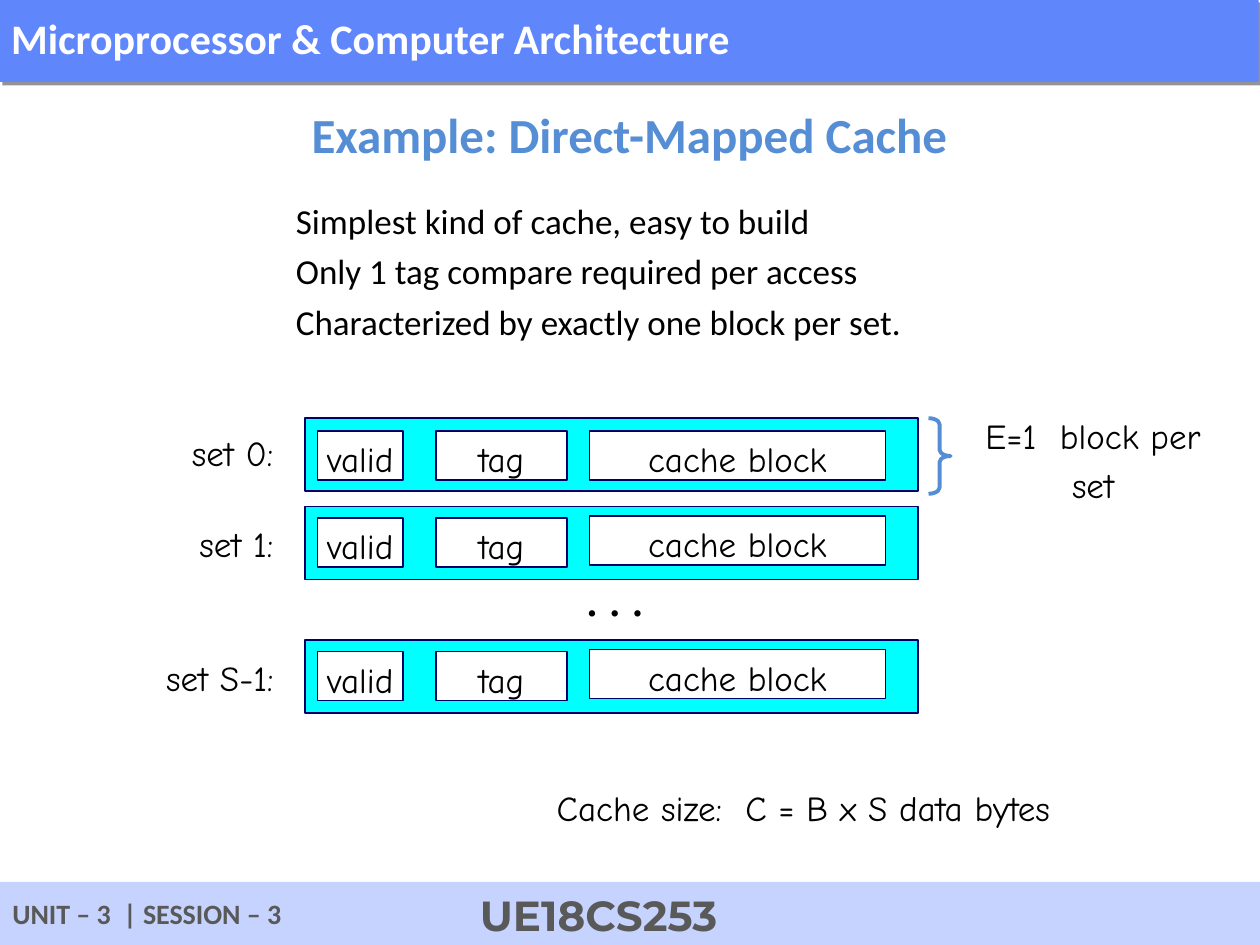
"""Build a slide that explains a direct-mapped cache."""
from dataclasses import dataclass

from lxml import etree
from pptx import Presentation
from pptx.dml.color import RGBColor
from pptx.enum.shapes import MSO_SHAPE
from pptx.enum.text import MSO_ANCHOR, MSO_AUTO_SIZE, PP_ALIGN
from pptx.oxml.ns import qn
from pptx.util import Pt

RECTANGLE, BRACE = MSO_SHAPE.RECTANGLE, MSO_SHAPE.RIGHT_BRACE
LEFT, CENTER = PP_ALIGN.LEFT, PP_ALIGN.CENTER
TOP, MIDDLE = MSO_ANCHOR.TOP, MSO_ANCHOR.MIDDLE
GROW = MSO_AUTO_SIZE.SHAPE_TO_FIT_TEXT


@dataclass(frozen=True)
class Theme:
    white: str = "FFFFFF"
    black: str = "000000"
    grey: str = "595959"
    banner: str = "6086FB"
    footer: str = "C5D3FE"
    accent: str = "558ED5"
    cache_set: str = "00FFFF"
    outline: str = "000066"
    title_size: int = 28
    banner_size: int = 24
    body_size: int = 20
    footer_size: int = 16


THEME = Theme()
BANNER = dict(name="Calibri", size=Pt(THEME.banner_size), bold=True, color=THEME.white)
UNIT = dict(BANNER, size=Pt(THEME.footer_size), color=THEME.grey)
COURSE = dict(BANNER, name="Montserrat", color=THEME.grey)
TITLE = dict(BANNER, size=Pt(THEME.title_size), color=THEME.accent)
BODY = dict(name="Calibri", size=Pt(THEME.body_size), bold=False, color=THEME.black)
DIAGRAM = dict(BODY, name="Comic Neue")

MASTER_LINES = dict(alignment=LEFT, line_spacing=0.93)
DIAGRAM_LINES = dict(alignment=CENTER, line_spacing=1.16)

SET_LEFT, SET_WIDTH, SET_HEIGHT = 174.2, 350.6, 41.8
LABEL_RIGHT, LABEL_HEIGHT = 163.5, 35.3
CELL_HEIGHT = 28


def rgb(color):
    return RGBColor.from_string(color)


def apply(target, values):
    for attribute, value in values.items():
        setattr(target, attribute, value)


def write(shape, lines, font, paragraph_format, anchor=MIDDLE, wrap=False):
    frame = shape.text_frame
    apply(frame, dict(text="\n".join(lines), word_wrap=wrap, vertical_anchor=anchor))
    for position, paragraph in enumerate(frame.paragraphs):
        apply(paragraph, paragraph_format)
        if position:
            paragraph.space_before = Pt(5)
        apply(paragraph.font, {key: font[key] for key in ("name", "size", "bold")})
        paragraph.font.color.rgb = rgb(font["color"])


def add_box(slide, bounds, fill, outline=None):
    box = slide.shapes.add_shape(RECTANGLE, *map(Pt, bounds))
    box.shadow.inherit = False
    box.fill.solid()
    box.fill.fore_color.rgb = rgb(fill)
    if outline:
        box.line.color.rgb = rgb(outline)
        box.line.width = Pt(1)
    else:
        box.line.fill.background()
    return box


def add_text(slide, bounds, lines, font, paragraph_format, grow=True, **layout):
    area = slide.shapes.add_textbox(*map(Pt, bounds))
    write(area, lines, font, paragraph_format, **layout)
    if grow:
        area.text_frame.auto_size = GROW


def add_drop_shadow(shape):
    effects = shape._element.spPr.find(qn("a:effectLst"))
    shadow = etree.SubElement(effects, qn("a:outerShdw"), dist=str(Pt(3)), dir="2700000",
                              algn="tl", rotWithShape="0")
    color = etree.SubElement(shadow, qn("a:srgbClr"), val=THEME.black)
    etree.SubElement(color, qn("a:alpha"), val="41000")


def add_cache_set(slide, top, label, label_width, label_drop, tag_drop, block_drop):
    add_box(slide, (SET_LEFT, top, SET_WIDTH, SET_HEIGHT), THEME.cache_set, THEME.outline)
    for name, left, width, drop in (
        ("valid", 181.4, 49, tag_drop),
        ("tag", 249.1, 74.9, tag_drop),
        ("cache block", 336.8, 169.2, block_drop),
    ):
        cell = add_box(slide, (left, top + drop, width, CELL_HEIGHT), THEME.white, THEME.outline)
        write(cell, [name], DIAGRAM, DIAGRAM_LINES)
    add_text(slide, (LABEL_RIGHT - label_width, top + label_drop, label_width, LABEL_HEIGHT),
             [label], DIAGRAM, DIAGRAM_LINES)


def add_brace(slide, bounds):
    brace = slide.shapes.add_shape(BRACE, *map(Pt, bounds))
    brace.shadow.inherit = False
    brace.fill.background()
    brace.line.color.rgb = rgb(THEME.accent)
    brace.line.width = Pt(2.25)
    brace.adjustments[0] = 0.28


def add_banner_and_footer(slide):
    banner = add_box(slide, (-0.7, -0.7, 720, 47.5), THEME.banner)
    add_drop_shadow(banner)
    write(banner, ["Microprocessor & Computer Architecture"], BANNER, MASTER_LINES, wrap=True)
    add_box(slide, (0, 504, 720, 36), THEME.footer)
    for text, bounds, font in (
        ("UNIT – 3  | SESSION – 3", (0, 510.5, 235.4, 25.9), UNIT),
        ("UE18CS253", (267.1, 507.6, 135.4, 28.8), COURSE),
    ):
        write(add_box(slide, bounds, THEME.footer), [text], font, MASTER_LINES, anchor=TOP)


def main():
    deck = Presentation()
    deck.slide_width, deck.slide_height = Pt(720), Pt(540)
    slide = deck.slides.add_slide(deck.slide_layouts[6])

    add_banner_and_footer(slide)
    add_text(slide, (-0.4, 45.7, 720, 61.2), ["Example: Direct-Mapped Cache"], TITLE,
             dict(alignment=CENTER), grow=False, wrap=True)
    add_text(slide, (162, 110.2, 444.2, 105.8), [
        "Simplest kind of cache, easy to build",
        "Only 1 tag compare required per access",
        "Characterized by exactly one block per set.",
    ], BODY, dict(alignment=LEFT), grow=False, anchor=TOP, wrap=True)

    for cache_set in (
        (239, "set 0:", 61.2, 0, 7.2, 7.2),
        (289.4, "set 1:", 56.9, 1.5, 6.5, 5.4),
        (365.8, "set S-1:", 75.6, 1.5, 6.5, 5.4),
    ):
        add_cache_set(slide, *cache_set)
    add_text(slide, (311.4, 328.3, 80, LABEL_HEIGHT), ["• • •"], DIAGRAM, DIAGRAM_LINES)

    add_brace(slide, (530.6, 239, 12.6, 43.2))
    add_text(slide, (547.2, 229.3, 154.8, 63.4), ["E=1  block per set"], DIAGRAM,
             DIAGRAM_LINES, wrap=True)
    add_text(slide, (311, 442.1, 298.1, LABEL_HEIGHT), ["Cache size:  C = B x S data bytes"],
             DIAGRAM, dict(DIAGRAM_LINES, alignment=LEFT))
    deck.save("out.pptx")


if __name__ == "__main__":
    main()
